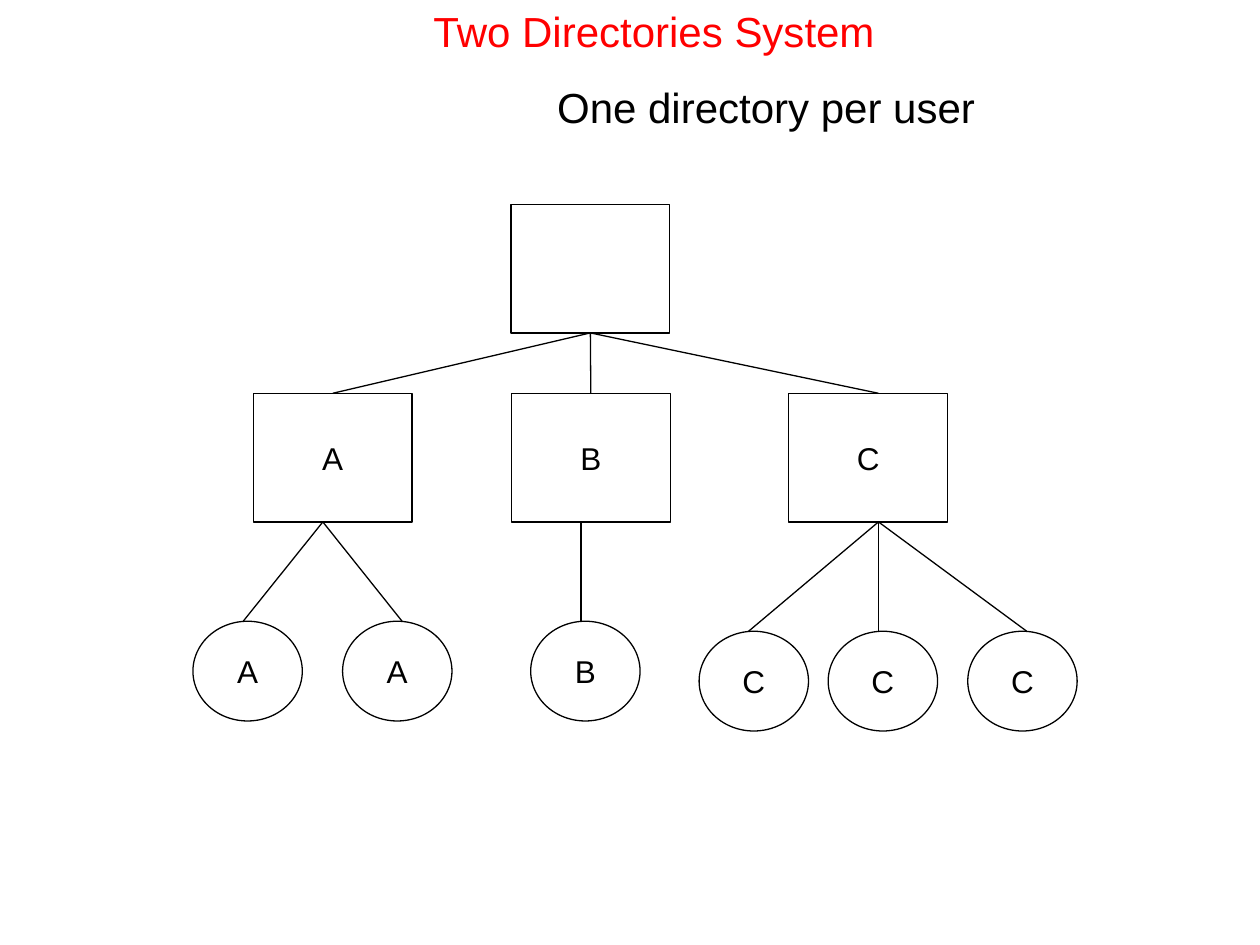
from dataclasses import dataclass

from lxml import etree
from pptx import Presentation
from pptx.dml.color import RGBColor
from pptx.enum.shapes import MSO_CONNECTOR, MSO_SHAPE
from pptx.enum.text import MSO_ANCHOR, MSO_AUTO_SIZE, PP_ALIGN
from pptx.oxml.ns import qn
from pptx.shapes.autoshape import Shape
from pptx.shapes.connector import Connector
from pptx.slide import Slide
from pptx.util import Pt

RECTANGLE = MSO_SHAPE.RECTANGLE
OVAL = MSO_SHAPE.OVAL
STRAIGHT = MSO_CONNECTOR.STRAIGHT
LEFT, CENTER = PP_ALIGN.LEFT, PP_ALIGN.CENTER
TOP, MIDDLE = MSO_ANCHOR.TOP, MSO_ANCHOR.MIDDLE
TOP_SITE, BOTTOM_SITE = 0, 2

TITLE_ONLY_LAYOUT = 5
FONT = "Arial"
BLACK, RED = "000000", "FF0000"
LINE_WIDTH = 0.75
BOX_WIDTH, BOX_HEIGHT = 90.75, 73.5
FILE_WIDTH, FILE_HEIGHT = 62.5, 57
ROOT_LEFT, ROOT_TOP = 292, 116.75
ROOT_MIDDLE = ROOT_LEFT + BOX_WIDTH / 2
ROOT_BOTTOM = ROOT_TOP + BOX_HEIGHT
DIRECTORY_TOP = 224.75
DIRECTORY_BOTTOM = DIRECTORY_TOP + BOX_HEIGHT


@dataclass
class File:
    left: float
    link_x: float


@dataclass
class Directory:
    """link_x is where the root's line arrives, fork_x where the file lines start."""
    name: str
    left: float
    link_x: float
    fork_x: float
    file_top: float
    files: list[File]


DIRECTORIES = [
    Directory("A", 144.75, 190, 184.5, 355, [File(110.25, 139), File(195.75, 229.75)]),
    Directory("B", 292.25, 337.5, 332, 355, [File(303.25, 332)]),
    Directory("C", 450.75, 502, 502, 360.75,
              [File(399.5, 427.75), File(473.25, 502), File(553, 586.75)]),
]


def color(value: str) -> RGBColor:
    return RGBColor.from_string(value)


def format_runs(paragraph, size: float, font_color: str) -> None:
    for run in paragraph.runs:
        run.font.name = FONT
        run.font.size = Pt(size)
        run.font.color.rgb = color(font_color)


def add_node(slide: Slide, kind: MSO_SHAPE, left: float, top: float,
             width: float, height: float, label: str = "") -> Shape:
    shape = slide.shapes.add_shape(kind, Pt(left), Pt(top), Pt(width), Pt(height))
    shape.shadow.inherit = False
    shape.fill.background()
    shape.line.color.rgb = color(BLACK)
    shape.line.width = Pt(LINE_WIDTH)
    if label:
        text_frame = shape.text_frame
        text_frame.text = label
        text_frame.vertical_anchor = MIDDLE
        paragraph = text_frame.paragraphs[0]
        paragraph.alignment = CENTER
        format_runs(paragraph, 18, BLACK)
    return shape


def add_link(slide: Slide, x1: float, y1: float, x2: float, y2: float) -> Connector:
    link = slide.shapes.add_connector(STRAIGHT, Pt(x1), Pt(y1), Pt(x2), Pt(y2))
    link.line.color.rgb = color(BLACK)
    link.line.width = Pt(LINE_WIDTH)
    etree.SubElement(link._element.spPr, qn("a:effectLst"))
    return link


def add_heading(slide: Slide) -> None:
    title = slide.shapes.title
    title.left, title.top, title.width, title.height = Pt(96.5), Pt(-0.75), Pt(538.5), Pt(80)
    text_frame = title.text_frame
    text_frame.text = "Two Directories System\nOne directory per user"
    text_frame.word_wrap = True
    text_frame.auto_size = MSO_AUTO_SIZE.NONE
    text_frame.vertical_anchor = TOP
    heading, subtitle = text_frame.paragraphs
    heading.alignment = LEFT
    heading._p.get_or_add_pPr().set("marL", str(Pt(144)))
    subtitle.alignment = CENTER
    subtitle.space_before = Pt(15)
    format_runs(heading, 24, RED)
    format_runs(subtitle, 24, BLACK)


def add_directory(slide: Slide, root: Shape, directory: Directory) -> None:
    """Draw a directory box, its line from the root, and its files."""
    box = add_node(slide, RECTANGLE, directory.left, DIRECTORY_TOP,
                   BOX_WIDTH, BOX_HEIGHT, directory.name)
    link = add_link(slide, ROOT_MIDDLE, ROOT_BOTTOM, directory.link_x, DIRECTORY_TOP)
    link.begin_connect(root, BOTTOM_SITE)
    if abs(directory.left + BOX_WIDTH / 2 - directory.link_x) < 1:
        link.end_connect(box, TOP_SITE)
    for file in directory.files:
        add_node(slide, OVAL, file.left, directory.file_top,
                 FILE_WIDTH, FILE_HEIGHT, directory.name)
        add_link(slide, file.link_x, directory.file_top, directory.fork_x, DIRECTORY_BOTTOM)


def main() -> None:
    presentation = Presentation()
    presentation.slide_width, presentation.slide_height = Pt(720), Pt(540)
    slide = presentation.slides.add_slide(presentation.slide_layouts[TITLE_ONLY_LAYOUT])
    add_heading(slide)
    root = add_node(slide, RECTANGLE, ROOT_LEFT, ROOT_TOP, BOX_WIDTH, BOX_HEIGHT)
    for directory in DIRECTORIES:
        add_directory(slide, root, directory)
    presentation.save("out.pptx")


if __name__ == "__main__":
    main()
